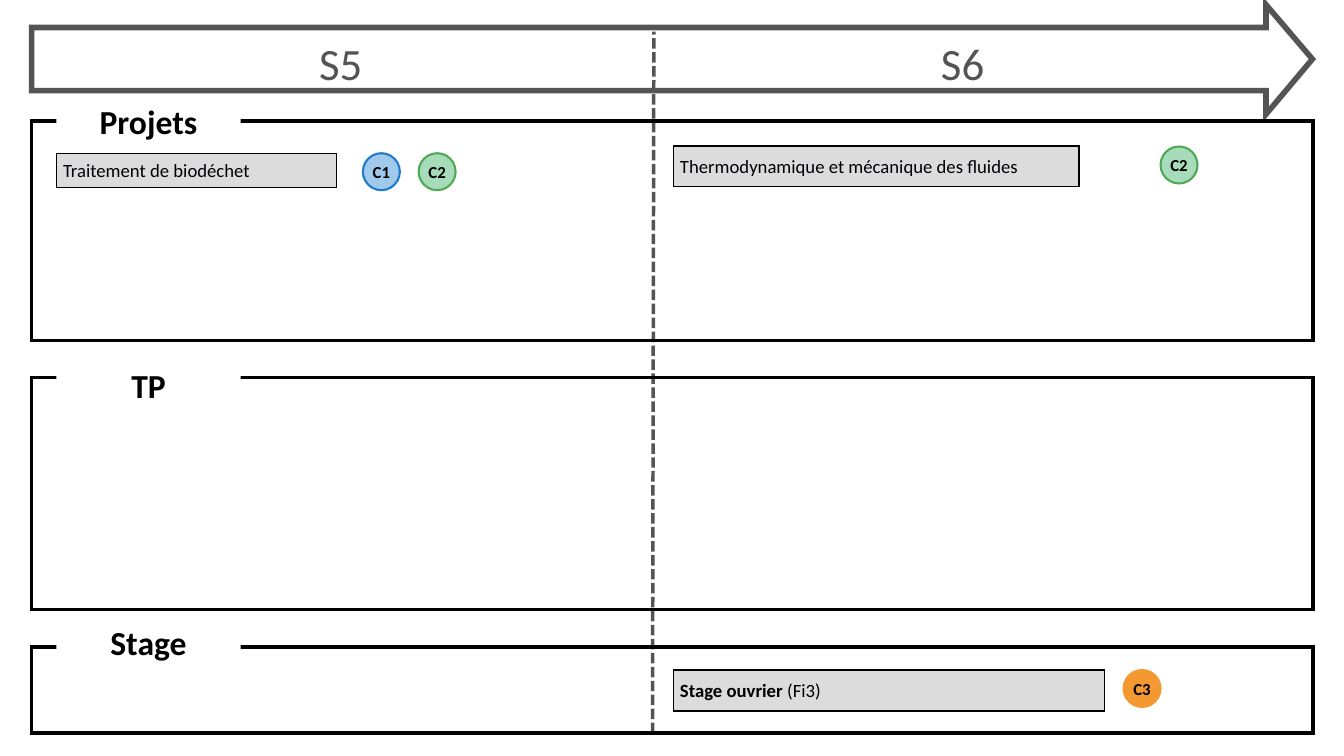
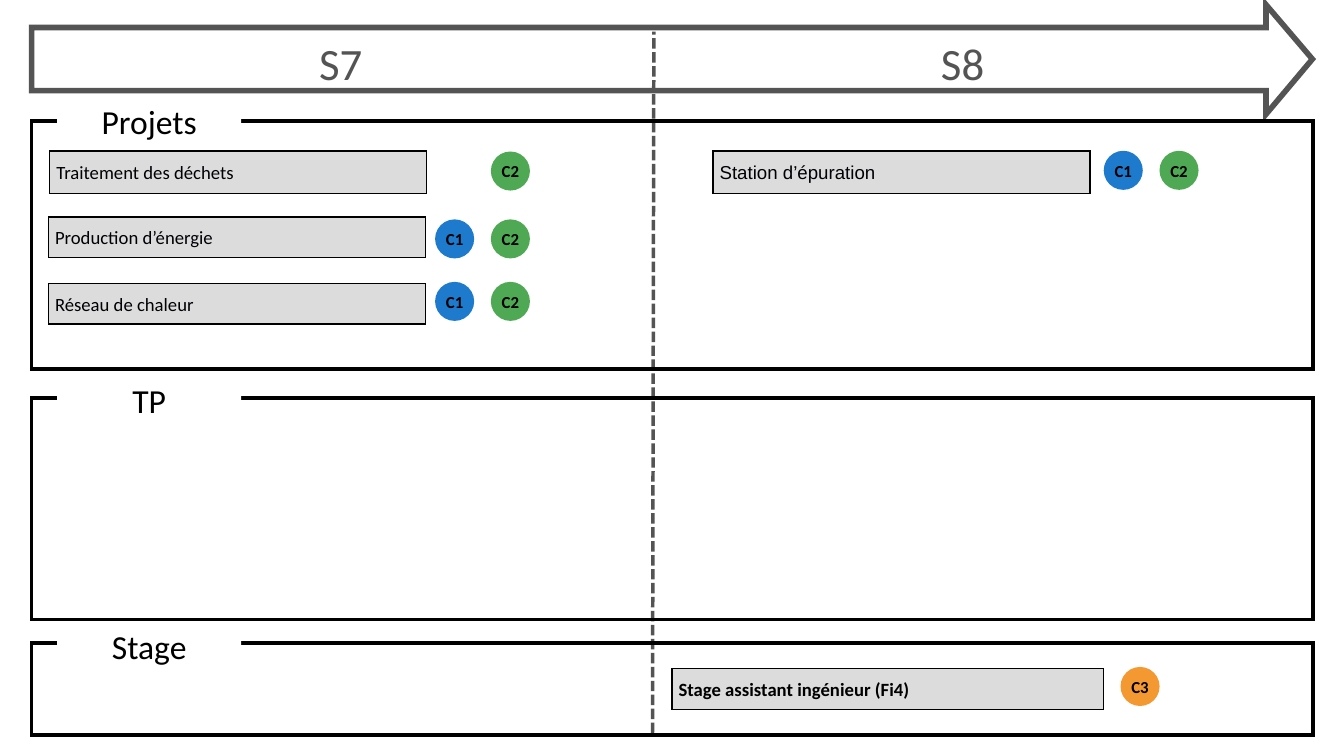
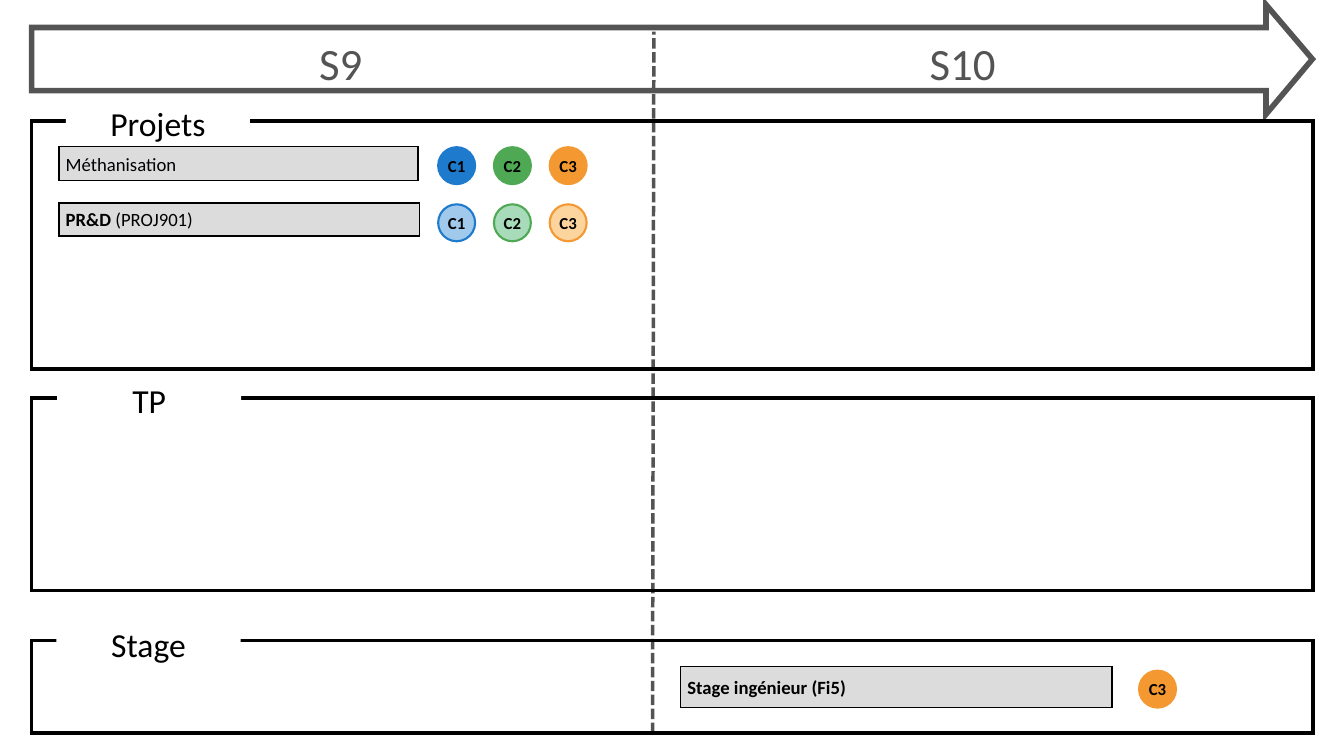
from pptx import Presentation
from pptx.dml.color import RGBColor
from pptx.enum.dml import MSO_LINE as Dash
from pptx.enum.shapes import MSO_CONNECTOR as Link, MSO_SHAPE as Kind
from pptx.enum.text import MSO_ANCHOR as Anchor, PP_ALIGN as Align
from pptx.oxml.ns import qn
from pptx.util import Inches, Pt
from lxml import etree

BLACK, WHITE, INK = "000000", "FFFFFF", "000005"
GRAY, BAR = "545454", "DDDCDC"
SKILLS = {"C1": ("1E7ACC", "A0C9EB"), "C2": ("4FA954", "A8DBBA"), "C3": ("F49831", "FBD49E")}
ARROW = [(19.53, 0.88), (18.84, 0.07), (18.84, 0.41), (0.47, 0.41),
         (0.47, 1.35), (18.84, 1.35), (18.84, 1.7)]
TERMS = [(0.5, 9.14), (9.81, 9.03)]
LEFT, WIDE = 0.47, 19.07
TAB = (2.74, 0.61)
DOT, STEP = 0.55, 0.83

# frames: name, top, height, tab left, tab top
# bars: bold text, plain text, box, font, first badge, badges, pale
SLIDES = [
    {"terms": ("S5", "S6"), "bold": True,
     "frames": [("Projets", 1.8, 3.27, 0.84, 1.49),
                ("TP", 5.62, 3.45, 0.84, 5.38),
                ("Stage", 9.63, 1.28, 0.84, 9.21)],
     "bars": [("", "Traitement de biodéchet", (0.84, 2.28, 4.17, 0.51), "Calibri",
               (5.4, 2.28), ("C1", "C2"), True),
              ("", "Thermodynamique et mécanique des fluides", (10.02, 2.17, 6.04, 0.61),
               "Calibri", (17.27, 2.18), ("C2",), True),
              ("Stage ouvrier ", "(Fi3)", (10.02, 9.97, 6.42, 0.61), "Calibri",
               (16.72, 9.97), ("C3",), False)]},
    {"terms": ("S7", "S8"), "bold": False,
     "frames": [("Projets", 1.8, 3.69, 0.85, 1.5),
                ("TP", 5.92, 3.3, 0.85, 5.6),
                ("Stage", 9.57, 1.37, 0.85, 9.26)],
     "bars": [("", "Traitement des déchets", (0.74, 2.25, 5.61, 0.63), "Calibri",
               (7.32, 2.27), ("C2",), False),
              ("", "Production d’énergie", (0.72, 3.23, 5.61, 0.6), "Calibri",
               (6.49, 3.28), ("C1", "C2"), False),
              ("", "Réseau de chaleur", (0.72, 4.22, 5.61, 0.6), "Calibri",
               (6.49, 4.21), ("C1", "C2"), False),
              ("", "Station d’épuration", (10.61, 2.25, 5.61, 0.63), "Arial",
               (16.44, 2.26), ("C1", "C2"), False),
              ("Stage assistant ingénieur (Fi4)", "", (10, 9.95, 6.42, 0.61), "Calibri",
               (16.69, 9.94), ("C3",), False)]},
    {"terms": ("S9", "S10"), "bold": False,
     "frames": [("Projets", 1.8, 3.69, 0.98, 1.52),
                ("TP", 5.92, 2.87, 0.85, 5.6),
                ("Stage", 9.53, 1.38, 0.84, 9.23)],
     "bars": [("", "Méthanisation", (0.88, 2.18, 5.34, 0.51), "Calibri",
               (6.52, 2.19), ("C1", "C2", "C3"), False),
              ("PR&D ", "(PROJ901)", (0.88, 3.02, 5.36, 0.49), "Calibri",
               (6.52, 3.04), ("C1", "C2", "C3"), True),
              ("Stage ingénieur (Fi5)", "", (10.13, 9.92, 6.42, 0.61), "Calibri",
               (16.95, 9.98), ("C3",), False)]},
]


def rgb(code):
    return RGBColor.from_string(code)


def paint(shape, fill, line, width=0):
    shape.shadow.inherit = False
    if fill:
        shape.fill.solid()
        shape.fill.fore_color.rgb = rgb(fill)
    else:
        shape.fill.background()
    if line:
        shape.line.color.rgb = rgb(line)
        shape.line.width = Pt(width)
        etree.SubElement(shape.line._get_or_add_ln(), qn("a:miter"), lim="800000")
    else:
        shape.line.fill.background()


def box(slide, place, fill, line, width=0, kind=Kind.RECTANGLE):
    shape = slide.shapes.add_shape(kind, *map(Inches, place))
    paint(shape, fill, line, width)
    return shape


def write(shape, parts, size, color, align=Align.CENTER, anchor=Anchor.MIDDLE,
          face="Calibri", inset=None):
    frame = shape.text_frame
    frame.word_wrap = True
    frame.vertical_anchor = anchor
    if inset is not None:
        frame.margin_left = frame.margin_right = inset
        frame.margin_top = frame.margin_bottom = inset
    para = frame.paragraphs[0]
    para.alignment = align
    font = para.font
    font.name, font.size, font.color.rgb = face, Pt(size), rgb(color)
    parts = [part for part in parts if part[0]]
    if len(parts) == 1:
        font.bold = parts[0][1]
    for text, bold in parts:
        run = para.add_run()
        run.text = text
        if len(parts) > 1:
            run.font.bold = bold
    return para


def add_time(slide, names):
    points = [(Inches(x), Inches(y)) for x, y in ARROW]
    path = slide.shapes.build_freeform(*points[0])
    path.add_line_segments(points[1:], close=True)
    paint(path.convert_to_shape(), None, GRAY, 6)
    split = slide.shapes.add_connector(Link.STRAIGHT, *map(Inches, (9.71, 10.91, 9.73, 0.47)))
    split.line.color.rgb = rgb(GRAY)
    split.line.width = Pt(3.75)
    split.line.dash_style = Dash.SQUARE_DOT
    etree.SubElement(split._element.spPr, qn("a:effectLst"))
    for name, (left, wide) in zip(names, TERMS):
        label = slide.shapes.add_textbox(*map(Inches, (left, 0.46, wide, 0.83)))
        para = write(label, [(name, False)], 48, GRAY, anchor=Anchor.TOP, inset=0)
        para.line_spacing = Pt(62.4)


def add_frames(slide, frames, bold):
    for name, top, high, left, tab_top in frames:
        box(slide, (LEFT, top, WIDE, high), None, BLACK, 3.75)
        tab = box(slide, (left, tab_top, *TAB), WHITE, None)
        anchor = Anchor.MIDDLE if name == "Projets" else Anchor.TOP
        write(tab, [(name, bold)], 36, BLACK, anchor=anchor)


def add_bar(slide, strong, plain, place, face, start, skills, pale):
    bar = box(slide, place, BAR, BLACK, 1.5)
    write(bar, [(strong, True), (plain, False)], 20, BLACK if strong else INK,
          Align.LEFT, face=face)
    left, top = start
    for i, skill in enumerate(skills):
        dark, light = SKILLS[skill]
        dot = box(slide, (left + i * STEP, top, DOT, DOT), light if pale else dark,
                  dark, 2.25, Kind.OVAL)
        write(dot, [(skill, True)], 18, BLACK, inset=0)


def main():
    deck = Presentation()
    deck.slide_width, deck.slide_height = Inches(20), Inches(11.25)
    for data in SLIDES:
        slide = deck.slides.add_slide(deck.slide_layouts[6])
        add_time(slide, data["terms"])
        add_frames(slide, data["frames"], data["bold"])
        for bar in data["bars"]:
            add_bar(slide, *bar)
    deck.save("out.pptx")


if __name__ == "__main__":
    main()
